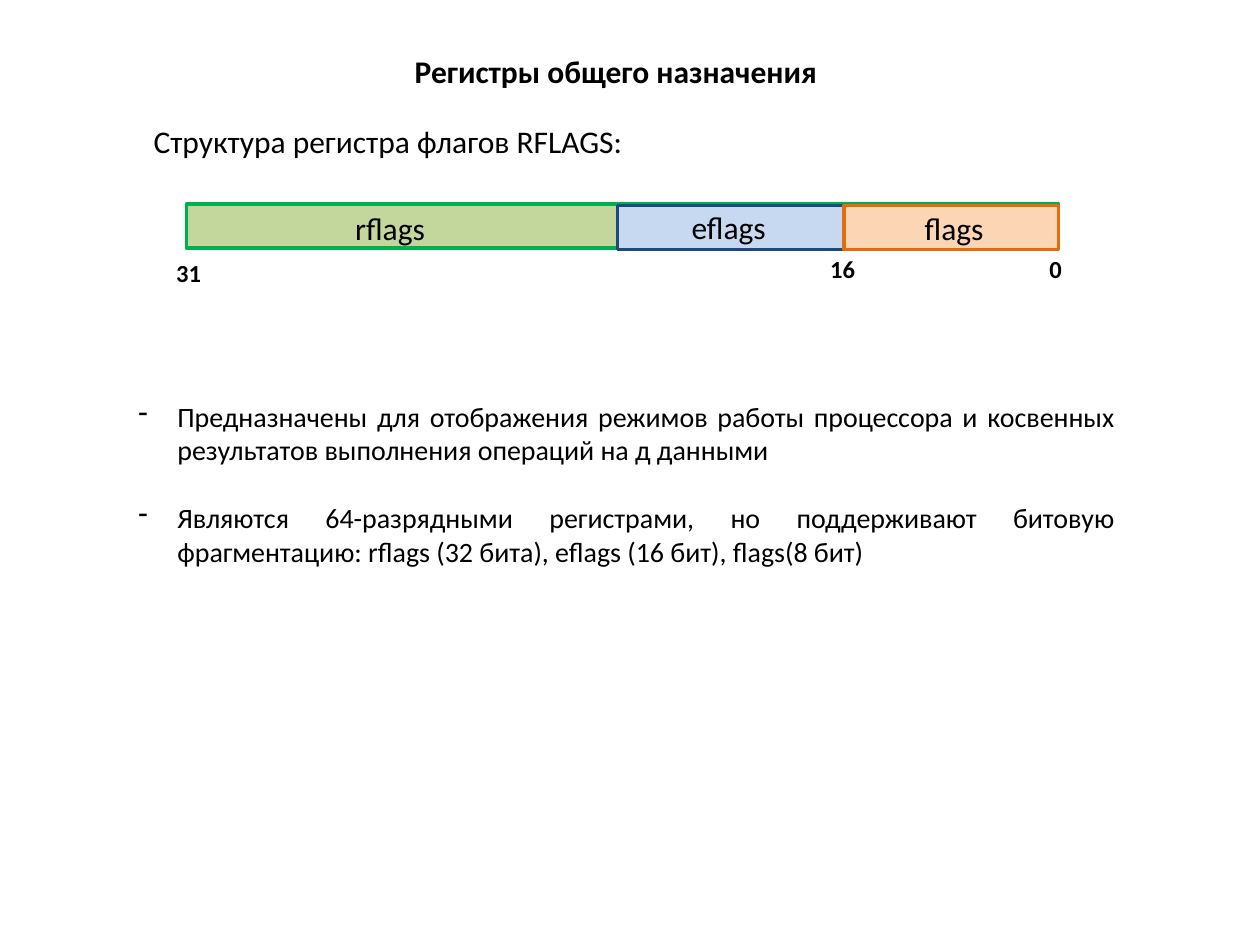
from lxml.etree import SubElement
from pptx import Presentation
from pptx.dml.color import RGBColor
from pptx.enum.shapes import MSO_SHAPE
from pptx.enum.text import MSO_ANCHOR, MSO_AUTO_SIZE, PP_ALIGN
from pptx.oxml.ns import qn
from pptx.util import Inches, Pt

COLORS = {
    "text": "000000",
    "rflags": "C3D69B", "rflags_line": "00B050",
    "eflags": "C6D9F1", "eflags_line": "1F497D",
    "flags": "FCD5B5", "flags_line": "E46C0A",
}


class SlideBuilder:
    def __init__(self, s, font="Calibri"):
        self.s = s
        self.font = font

    def color(self, name):
        return RGBColor.from_string(COLORS[name])

    def run(self, p, text, size, bold=False):
        r = p.add_run()
        r.text = text
        r.font.name = self.font
        r.font.size = Pt(size)
        r.font.bold = bold
        r.font.color.rgb = self.color("text")

    def title(self, text, x, y, w, h):
        sp = self.s.shapes.title
        sp.left, sp.top, sp.width, sp.height = map(Inches, (x, y, w, h))
        tf = sp.text_frame
        tf.word_wrap = False
        tf.auto_size = MSO_AUTO_SIZE.NONE
        tf.vertical_anchor = MSO_ANCHOR.TOP
        p = tf.paragraphs[0]
        p.alignment = PP_ALIGN.LEFT
        self.run(p, text, 18, bold=True)

    def box(self, x, y, w, h, wrap=False):
        tf = self.s.shapes.add_textbox(*map(Inches, (x, y, w, h))).text_frame
        tf.word_wrap = wrap
        tf.auto_size = MSO_AUTO_SIZE.SHAPE_TO_FIT_TEXT
        return tf

    def label(self, text, x, y, w, h=0.4, size=18, bold=False):
        self.run(self.box(x, y, w, h).paragraphs[0], text, size, bold)

    def bullets(self, items, x, y, w, h, size=16, gap=19.5, indent=0.31):
        tf = self.box(x, y, w, h, wrap=True)
        for i, text in enumerate(items):
            p = tf.add_paragraph() if i else tf.paragraphs[0]
            p.alignment = PP_ALIGN.JUSTIFY
            if i:
                p.space_before = Pt(gap)
            pPr = p._p.get_or_add_pPr()
            pPr.set("marL", str(Inches(indent)))
            pPr.set("indent", str(-Inches(indent)))
            SubElement(pPr, qn("a:buFontTx"))
            SubElement(pPr, qn("a:buChar"), char="-")
            self.run(p, text, size)

    def field(self, name, x, y, right, h=0.35):
        """Draw one register field from x to its right edge."""
        sp = self.s.shapes.add_shape(
            MSO_SHAPE.RECTANGLE, *map(Inches, (x, y, right - x, h)))
        sp.shadow.inherit = False
        sp.fill.solid()
        sp.fill.fore_color.rgb = self.color(name)
        sp.line.color.rgb = self.color(name + "_line")
        sp.line.width = Pt(2)


def main():
    prs = Presentation()
    prs.slide_width, prs.slide_height = Inches(10), Inches(7.5)
    b = SlideBuilder(prs.slides.add_slide(prs.slide_layouts[5]))

    b.title("Регистры общего назначения", 3.19, 0.36, 3.43, 0.4)
    b.label("Структура регистра флагов RFLAGS:", 1.12, 0.92, 3.95)
    b.bullets([
        "Предназначены для отображения режимов работы процессора и "
        "косвенных результатов выполнения операций на д данными",
        "Являются 64-разрядными регистрами, но поддерживают битовую "
        "фрагментацию: rflags (32 бита), eflags (16 бит), flags(8 бит)",
    ], 1, 3.12, 7.95, 1.45)

    for bit, x, y, w in [("0", 8.23, 1.97, 0.3), ("16", 6.49, 1.97, 0.4),
                         ("31", 1.3, 2, 0.4)]:
        b.label(bit, x, y, w, h=0.34, size=14, bold=True)

    # Nested fields share the right edge of the register
    for name, x, y in [("rflags", 1.48, 1.62), ("eflags", 4.9, 1.63),
                       ("flags", 6.7, 1.63)]:
        b.field(name, x, y, right=8.4)

    for name, x, y, w in [("eflags", 5.39, 1.6, 0.8), ("flags", 7.24, 1.61, 0.68),
                          ("rflags", 2.72, 1.61, 0.76)]:
        b.label(name, x, y, w)

    prs.save("out.pptx")


if __name__ == "__main__":
    main()
